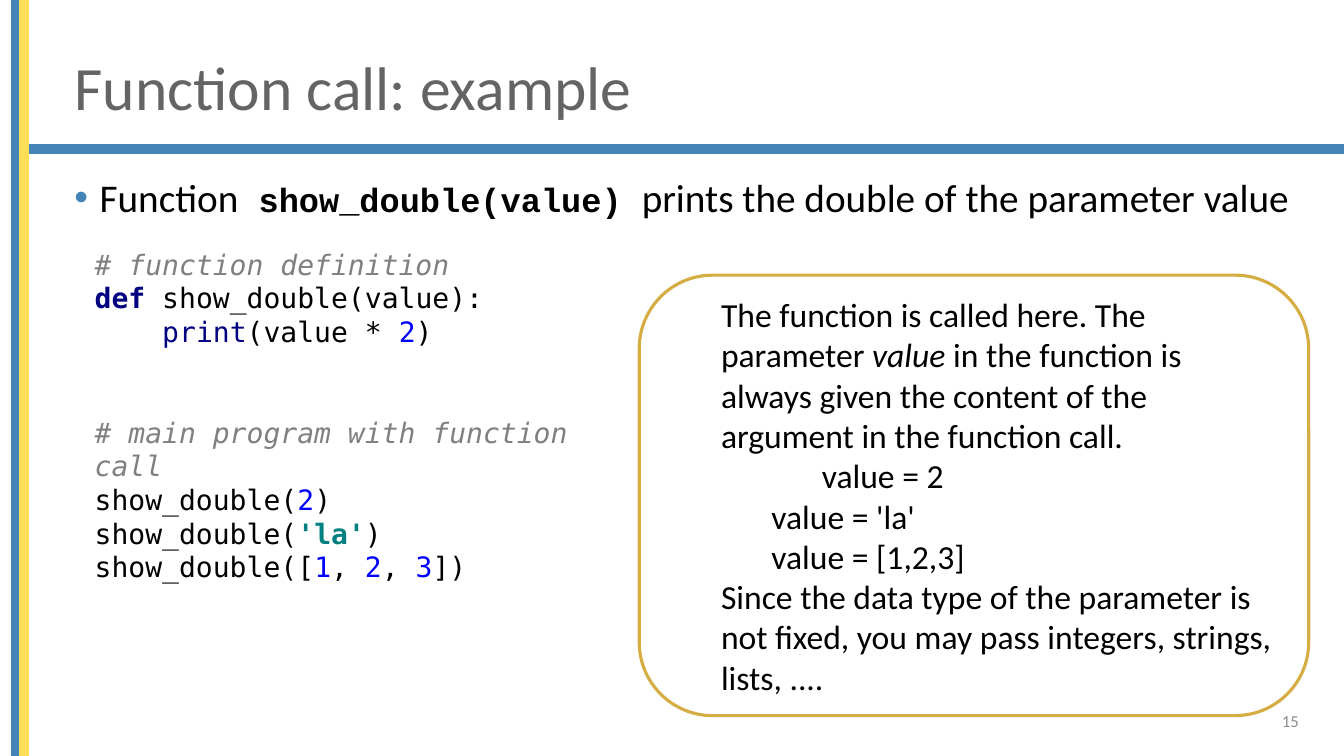
from lxml import etree
from pptx import Presentation
from pptx.dml.color import RGBColor
from pptx.enum.shapes import MSO_SHAPE
from pptx.enum.text import MSO_ANCHOR, PP_ALIGN
from pptx.oxml.ns import qn
from pptx.util import Inches, Pt

RECT, ROUNDED = MSO_SHAPE.RECTANGLE, MSO_SHAPE.ROUNDED_RECTANGLE
TOP, MIDDLE = MSO_ANCHOR.TOP, MSO_ANCHOR.MIDDLE
LEFT, RIGHT = PP_ALIGN.LEFT, PP_ALIGN.RIGHT

BLUE, YELLOW, GOLD, WHITE, BLACK = "4584B6", "FFDE57", "D5AD42", "FFFFFF", "000000"
GREY, PALE, COMMENT = "646464", "8C8C8C", "808080"
NAVY, NUMBER, STRING = "000080", "0000FF", "008080"
SANS, MONO, CODE = "Calibri", "Courier New", "DejaVu Sans Mono"


def rgb(value):
    return RGBColor.from_string(value)


class SlideBuilder:
    def __init__(self, slide):
        self.slide = slide

    def shape(self, kind, box, fill, line=None, width=1):
        sp = self.slide.shapes.add_shape(kind, *map(Inches, box))
        sp.shadow.inherit = False
        sp.fill.solid()
        sp.fill.fore_color.rgb = rgb(fill)
        if line:
            sp.line.color.rgb = rgb(line)
            sp.line.width = Pt(width)
        else:
            sp.line.fill.background()
        tf = sp.text_frame
        tf.vertical_anchor = MIDDLE
        tf.margin_top = tf.margin_bottom = 0
        return sp

    def textbox(self, box, anchor=TOP):
        sp = self.slide.shapes.add_textbox(*map(Inches, box))
        sp.text_frame.vertical_anchor = anchor
        return sp

    def paragraph(self, sp, runs, size, font=SANS, color=BLACK, align=LEFT,
                  indent=0, spacing=1.0, before=0, bullet=None):
        tf = sp.text_frame
        tf.word_wrap = True
        p = tf.add_paragraph() if tf.paragraphs[0].runs else tf.paragraphs[0]
        p.alignment = align
        p.line_spacing = spacing
        p.space_before = Pt(before)
        pPr = p._p.get_or_add_pPr()
        pPr.set("marL", str(Inches(indent)))
        pPr.set("indent", str(-Inches(indent) if bullet else 0))
        if bullet:
            tint = etree.SubElement(pPr, qn("a:buClr"))
            etree.SubElement(tint, qn("a:srgbClr"), val=bullet)
            etree.SubElement(pPr, qn("a:buFont"), typeface="Arial")
            etree.SubElement(pPr, qn("a:buChar"), char="•")
        for text, style in runs:
            r = p.add_run()
            r.text = text
            r.font.name = style.get("font", font)
            r.font.size = Pt(style.get("size", size))
            r.font.bold = style.get("bold", False)
            r.font.italic = style.get("italic", False)
            r.font.color.rgb = rgb(style.get("color", color))


def plain(text):
    return [(text, {})]


def number(text):
    return (text, {"color": NUMBER})


def comment(text):
    return [(text, {"color": COMMENT, "italic": True})]


def main():
    prs = Presentation()
    prs.slide_width, prs.slide_height = Inches(13.33), Inches(7.5)
    s = SlideBuilder(prs.slides.add_slide(prs.slide_layouts[6]))

    bars = [((0.19, 1.44, 13.14, 0.08), BLUE),
            ((0.12, 0, 0.08, 7.5), BLUE),
            ((0.2, 0, 0.08, 7.5), YELLOW)]
    for box, color in bars:
        s.shape(RECT, box, color, color)

    title = s.textbox((0.64, 0.39, 11.78, 1.01), MIDDLE)
    s.paragraph(title, plain("Function call: example"), 44, color=GREY, spacing=0.9)

    body = s.textbox((0.64, 1.72, 12.35, 0.6))
    s.paragraph(body, [
        ("Function", {}),
        (" show_double(value) ", {"font": MONO, "size": 24, "bold": True}),
        ("prints the double of the parameter value", {}),
    ], 28, indent=0.25, spacing=0.9, bullet=BLUE)

    page = s.textbox((9.98, 6.95, 3, 0.4), MIDDLE)
    s.paragraph(page, plain("15"), 12, color=PALE, align=RIGHT)

    callout = s.shape(ROUNDED, (6.34, 2.73, 6.64, 4.37), WHITE, GOLD, 2.25)
    explanation = [
        (0.5, [("The function is called here. The parameter ", {}),
               ("value", {"italic": True}),
               (" in the function is always given the content of the "
                "argument in the function call.", {})]),
        (1.5, plain("value = 2")),
        (1, plain("value = 'la'")),
        (1, plain("value = [1,2,3]")),
        (0.5, plain("Since the data type of the parameter is not fixed, "
                    "you may pass integers, strings, lists, ....")),
    ]
    for indent, runs in explanation:
        s.paragraph(callout, runs, 24, indent=indent)

    code = s.shape(RECT, (0.84, 2.42, 5.29, 3.4), WHITE)
    listing = [
        (0, comment("# function definition")),
        (0, [("def ", {"color": NAVY, "bold": True}), ("show_double(value):", {})]),
        (0, [("    ", {}), ("print", {"color": NAVY}), ("(value * ", {}),
             number("2"), (")", {})]),
        (48, comment("# main program with function call")),
        (0, [("show_double(", {}), number("2"), (")", {})]),
        (0, [("show_double(", {}), ("'la'", {"color": STRING, "bold": True}), (")", {})]),
        (0, [("show_double([", {}), number("1"), (", ", {}), number("2"),
             (", ", {}), number("3"), ("])", {})]),
    ]
    for before, runs in listing:
        s.paragraph(code, runs, 20, font=CODE, before=before)

    prs.save("out.pptx")


if __name__ == "__main__":
    main()
